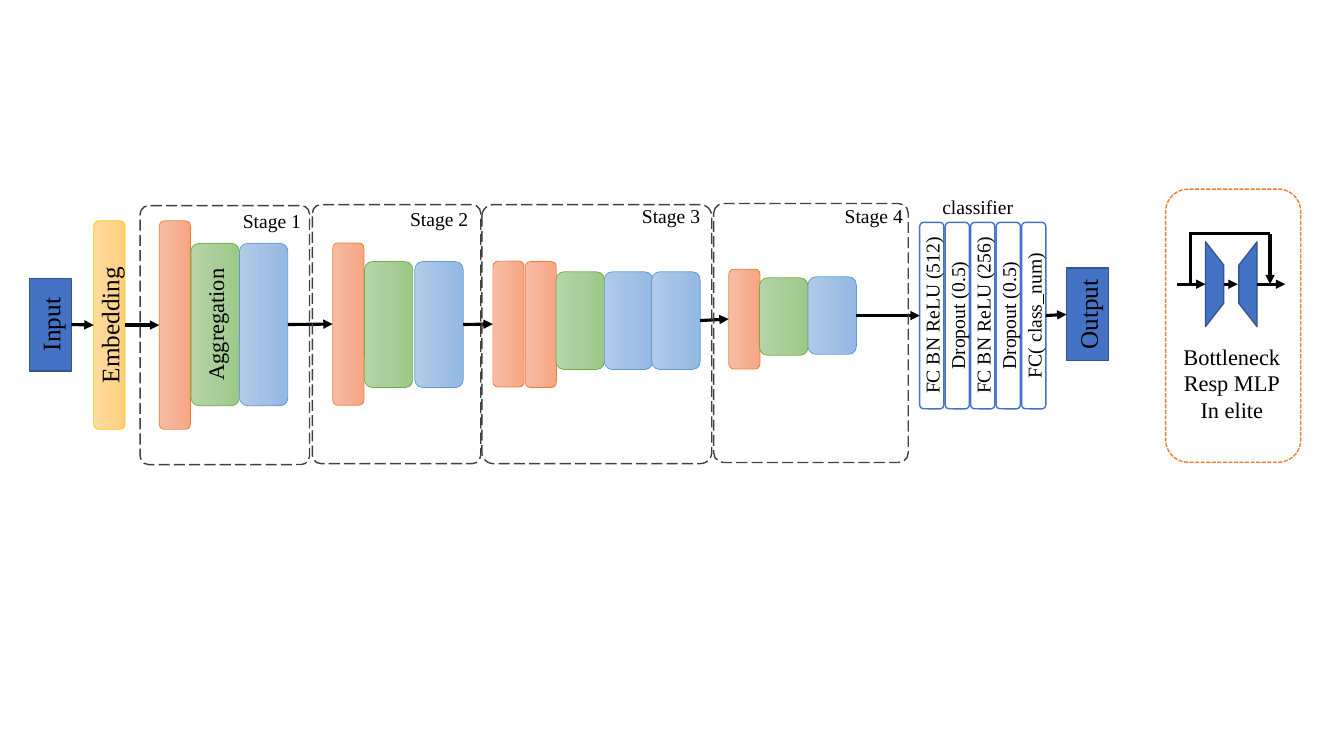
from copy import deepcopy
from lxml.etree import SubElement
from pptx import Presentation
from pptx.dml.color import RGBColor
from pptx.enum.dml import MSO_LINE
from pptx.enum.shapes import MSO_CONNECTOR, MSO_SHAPE
from pptx.enum.text import MSO_ANCHOR, MSO_AUTO_SIZE, PP_ALIGN
from pptx.oxml.ns import qn
from pptx.util import Pt

BLUE, NAVY, ORANGE, WHITE, BLACK = "4472C4", "325491", "ED7D31", "FFFFFF", "000000"
YELLOW_FADE = ("FFDB9E", "FFD590", "FFD07C")
RED_FADE = ("F7BDA5", "F5B196", "F8A582")
GREEN_FADE = ("B5D5A7", "AACE9A", "9CC987")
BLUE_FADE = ("B1CBE9", "A3C1E5", "93B9E4")


def rgb(value):
    return RGBColor.from_string(value)


class Diagram:
    font = "Times New Roman"

    def __init__(self, slide):
        self.shapes = slide.shapes

    def add_lines(self, tf, lines, size, align=None):
        for i, line in enumerate(lines):
            p = tf.paragraphs[0] if i == 0 else tf.add_paragraph()
            p.alignment = align
            r = p.add_run()
            r.text = line
            r.font.size = Pt(size)
            r.font.name = self.font
            r.font.color.rgb = rgb(BLACK)

    def shape(self, kind, x, y, w, h, fill, line, weight=1.0, dash=None, adj=None):
        sp = self.shapes.add_shape(kind, Pt(x), Pt(y), Pt(w), Pt(h))
        sp.shadow.inherit = False
        if fill is None:
            sp.fill.background()
        elif isinstance(fill, str):
            sp.fill.solid()
            sp.fill.fore_color.rgb = rgb(fill)
        else:
            self.fade(sp, fill)
        sp.line.color.rgb = rgb(line)
        sp.line.width = Pt(weight)
        if dash is not None:
            sp.line.dash_style = dash
        if adj is not None:
            sp.adjustments[0] = adj
        return sp

    def fade(self, sp, colors):
        sp.fill.gradient()
        sp.fill.gradient_angle = 270
        stops = sp._element.spPr.find(qn("a:gradFill")).find(qn("a:gsLst"))
        stops.insert(1, deepcopy(stops[0]))
        for stop, color, position in zip(sp.fill.gradient_stops, colors, (0, 0.5, 1)):
            stop.color.rgb = rgb(color)
            stop.position = position

    def bar(self, cx, cy, length, thick, fill, line, text=None, size=18,
            kind=MSO_SHAPE.ROUNDED_RECTANGLE, weight=1.0, turn=270, dash=None, adj=None):
        sp = self.shape(kind, cx - length / 2, cy - thick / 2, length, thick,
                        fill, line, weight, dash, adj)
        sp.rotation = turn
        if text:
            sp.text_frame.vertical_anchor = MSO_ANCHOR.MIDDLE
            self.add_lines(sp.text_frame, [text], size, PP_ALIGN.CENTER)
        return sp

    def label(self, x, y, w, h, lines, size, align=None):
        tf = self.shapes.add_textbox(Pt(x), Pt(y), Pt(w), Pt(h)).text_frame
        tf.word_wrap = False
        tf.auto_size = MSO_AUTO_SIZE.SHAPE_TO_FIT_TEXT
        self.add_lines(tf, lines, size, align)

    def line(self, x1, y1, x2, y2, arrow=True):
        cxn = self.shapes.add_connector(MSO_CONNECTOR.STRAIGHT, Pt(x1), Pt(y1), Pt(x2), Pt(y2))
        cxn.line.color.rgb = rgb(BLACK)
        cxn.line.width = Pt(2.25)
        spPr = cxn._element.spPr
        if arrow:
            SubElement(spPr.find(qn("a:ln")), qn("a:tailEnd"), type="triangle")
        SubElement(spPr, qn("a:effectLst"))
        return cxn

    def join(self, a, b):
        cxn = self.line(0, 0, 1, 1)
        cxn.begin_connect(a, 2)
        cxn.end_connect(b, 0)
        cxn.begin_x = a.left + (a.width + a.height) // 2
        cxn.begin_y = a.top + a.height // 2
        cxn.end_x = b.left + (b.width - b.height) // 2
        cxn.end_y = b.top + b.height // 2


RED = (22.3, RED_FADE, ORANGE)
GREEN = (34.6, GREEN_FADE, "70AD47")
SKY = (34.6, BLUE_FADE, "5B9BD5")

STAGES = [
    ((100.1, 146.9, 121), (166.3, 145.4),
     [(RED, 124.9, 232.2, 149), (GREEN, 153.7, 231.8, 116, "Aggregation"),
      (SKY, 188.3, 231.8, 116)]),
    ((223.2, 146.2, 120.2), (285.8, 144),
     [(RED, 248.8, 231.5, 116), (GREEN, 277.6, 231.8, 90), (SKY, 313.6, 231.8, 90)]),
    ((344.2, 146.2, 164.2), (451.4, 141.8),
     [(RED, 363.2, 231.5, 90), (RED, 386.3, 231.8, 90), (GREEN, 414.4, 229, 69.8),
      (SKY, 448.9, 229, 69.8), (SKY, 482.8, 229, 69.8)]),
    ((509.8, 145.4, 139), (596.2, 141.8),
     [(RED, 531.7, 227.9, 71.3), (GREEN, 559.8, 226.1, 55.4), (SKY, 594.4, 225.4, 55.4)]),
]
CLASSIFIER = ["FC BN ReLU (512)", "Dropout (0.5)", "FC BN ReLU (256)",
              "Dropout (0.5)", "FC( class_num)"]


def main():
    prs = Presentation()
    prs.slide_width, prs.slide_height = Pt(960), Pt(540)
    d = Diagram(prs.slides.add_slide(prs.slide_layouts[6]))

    source = d.bar(36, 231.8, 66.2, 30.2, BLUE, NAVY, "Input", kind=MSO_SHAPE.RECTANGLE)
    embedding = d.bar(78.1, 232.2, 149, 22.3, YELLOW_FADE, "FFC000", "Embedding", weight=0.5)
    links = [(source, embedding)]
    last = embedding
    for _, _, blocks in STAGES:
        bars = [d.bar(cx, cy, length, *style, *text, size=16, weight=0.5)
                for style, cx, cy, length, *text in blocks]
        links.append((last, bars[0]))
        last = bars[-1]

    layers = [d.bar(665.6 + 18.2 * i, 225.4, 133.2, 17.3, WHITE, BLUE, text, 14)
              for i, text in enumerate(CLASSIFIER)]
    output = d.bar(776.9, 224.6, 66.2, 30.2, BLUE, NAVY, "Output", kind=MSO_SHAPE.RECTANGLE)
    links += [(last, layers[0]), (layers[-1], output)]
    for a, b in links:
        d.join(a, b)

    for number, ((x, y, w), (label_x, label_y), _) in enumerate(STAGES, 1):
        d.shape(MSO_SHAPE.ROUNDED_RECTANGLE, x, y, w, 185, None, "404040",
                dash=MSO_LINE.LONG_DASH, adj=0.05)
        d.label(label_x, label_y, 56.9, 24.5, [f"Stage {number}"], 14)
    d.label(666, 135.4, 65.5, 24.5, ["classifier"], 14)

    d.bar(880.9, 232.6, 195.1, 96.5, WHITE, ORANGE, dash=MSO_LINE.SQUARE_DOT)
    for cx, turn in ((867.6, 90), (891.4, 270)):
        d.bar(cx, 203, 60.5, 13, BLUE, NAVY, kind=MSO_SHAPE.TRAPEZOID, turn=turn, adj=1.28)
    for x1, x2 in ((874.1, 884.2), (841, 861.1), (897.8, 918)):
        d.line(x1, 203, x2, 203)
    d.line(850.3, 203, 850.3, 167, arrow=False)
    d.line(849.6, 167, 907.2, 167, arrow=False)
    d.line(907.2, 167, 907.2, 203)
    d.label(837.4, 241.2, 85, 65.5, ["Bottleneck", "Resp MLP", "In elite"], 16, PP_ALIGN.CENTER)

    prs.save("out.pptx")


if __name__ == "__main__":
    main()
